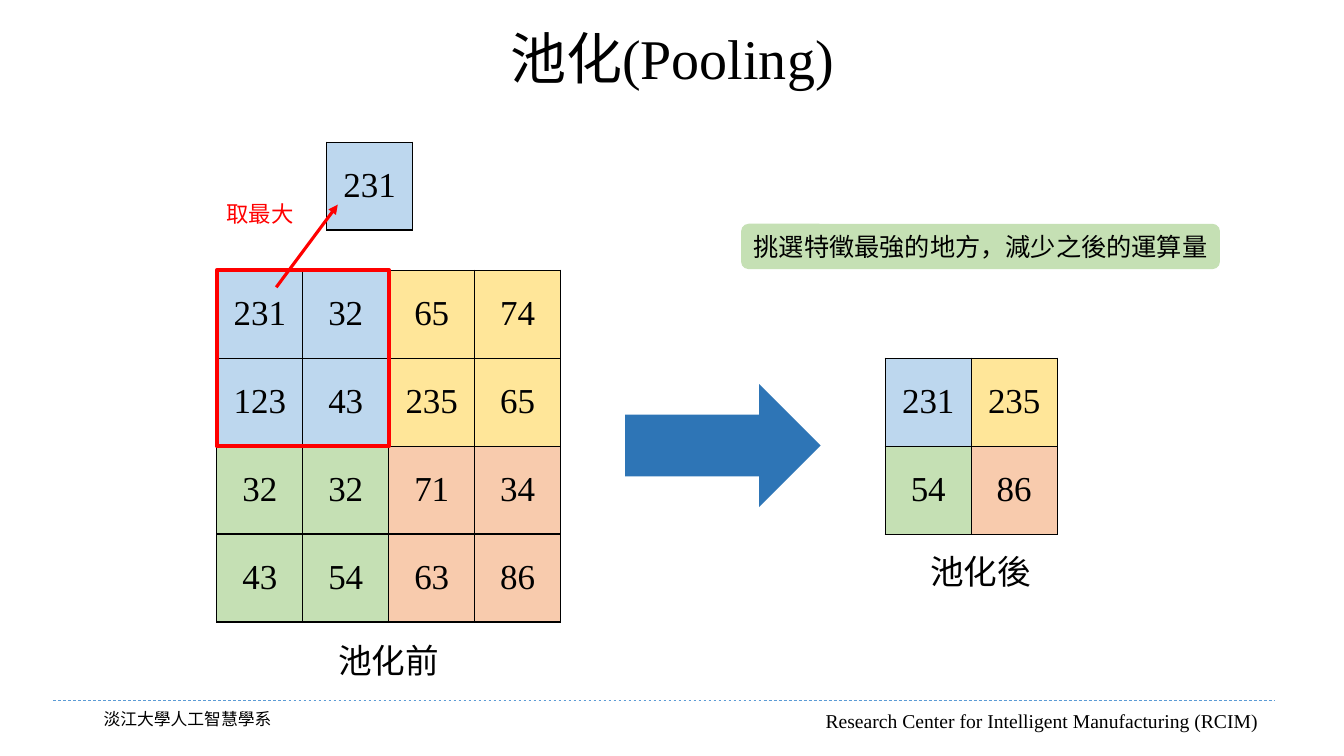
from lxml.etree import SubElement
from pptx import Presentation
from pptx.dml.color import RGBColor
from pptx.enum.dml import MSO_LINE
from pptx.enum.shapes import MSO_CONNECTOR, MSO_SHAPE
from pptx.enum.text import MSO_ANCHOR, PP_ALIGN
from pptx.oxml.ns import qn
from pptx.util import Inches, Pt

BLUE, YELLOW, GREEN, ORANGE = "BDD7EE", "FFE699", "C5E0B4", "F8CBAD"
BLACK, RED = "000000", "FF0000"
CELL_WIDTH, CELL_HEIGHT = 0.853, 0.873
GRID_LEFT, GRID_TOP = 2.15, 2.68


def color(hex_value):
    return RGBColor.from_string(hex_value)


def write(text_frame, text, size, hex_value=BLACK, align=PP_ALIGN.LEFT):
    text_frame.text = text
    paragraph = text_frame.paragraphs[0]
    paragraph.alignment = align
    font = paragraph.runs[0].font
    font.name, font.size = "Times New Roman", Pt(size)
    font.color.rgb = color(hex_value)


presentation = Presentation()
presentation.slide_width, presentation.slide_height = Inches(13.33), Inches(7.5)
slide = presentation.slides.add_slide(presentation.slide_layouts[5])
shapes = slide.shapes

# Title
title = shapes.title
title.left, title.top = 0, Inches(0.18)
title.width, title.height = presentation.slide_width, Inches(0.77)
write(title.text_frame, "池化(Pooling)", 40, align=PP_ALIGN.CENTER)
title.text_frame.vertical_anchor = MSO_ANCHOR.MIDDLE

# Matrices: input, highlighted maximum, and the maximum of every 2 x 2 block
before = [[231, 32, 65, 74], [123, 43, 235, 65], [32, 32, 71, 34], [43, 54, 63, 86]]
after = [[max(before[row + i][column + j] for i in (0, 1) for j in (0, 1))
          for column in (0, 2)] for row in (0, 2)]
block_colors = [[BLUE, YELLOW], [GREEN, ORANGE]]
matrices = [
    (before, 2, GRID_LEFT, GRID_TOP),
    ([[after[0][0]]], 1, 3.24, 1.41),
    (after, 1, 8.78, GRID_TOP + CELL_HEIGHT),
]
for values, block, left, top in matrices:
    count = len(values)
    table = shapes.add_table(
        count, count, Inches(left), Inches(top),
        Inches(count * CELL_WIDTH), Inches(count * CELL_HEIGHT)).table
    table.first_row = table.horz_banding = False
    for row, row_values in enumerate(values):
        for column, value in enumerate(row_values):
            cell = table.cell(row, column)
            write(cell.text_frame, str(value), 25, align=PP_ALIGN.CENTER)
            cell.vertical_anchor = MSO_ANCHOR.MIDDLE
            cell.margin_left = cell.margin_right = Inches(0.16)
            cell.margin_top = cell.margin_bottom = Inches(0.08)
            cell_properties = cell._tc.get_or_add_tcPr()
            for side in ("a:lnL", "a:lnR", "a:lnT", "a:lnB"):
                border = SubElement(cell_properties, qn(side), w=str(Pt(1)))
                SubElement(SubElement(border, qn("a:solidFill")), qn("a:srgbClr"), val=BLACK)
            cell.fill.solid()
            cell.fill.fore_color.rgb = color(block_colors[row // block][column // block])

# Pooling window, arrow to the result, and callout
for kind, left, top, width, height, fill in [
    (MSO_SHAPE.RECTANGLE, GRID_LEFT, GRID_TOP, 2 * CELL_WIDTH, 2 * CELL_HEIGHT, None),
    (MSO_SHAPE.RIGHT_ARROW, 6.2, 3.81, 1.94, 1.22, "2E75B6"),
    (MSO_SHAPE.ROUNDED_RECTANGLE, 7.35, 2.22, 4.75, 0.45, GREEN),
]:
    shape = shapes.add_shape(kind, Inches(left), Inches(top), Inches(width), Inches(height))
    shape.shadow.inherit = False
    if fill:
        shape.fill.solid()
        shape.fill.fore_color.rgb = color(fill)
        shape.line.fill.background()
    else:
        shape.fill.background()
        shape.line.color.rgb = color(RED)
        shape.line.width = Pt(3)
    if kind == MSO_SHAPE.ROUNDED_RECTANGLE:
        write(shape.text_frame, "挑選特徵最強的地方，減少之後的運算量", 18, align=PP_ALIGN.CENTER)
        shape.text_frame.word_wrap = False

# Arrow to the maximum, and footer rule
for start_x, start_y, end_x, end_y, hex_value, width in [
    (2.74, 2.85, 3.35, 2.03, RED, 2.25),
    (0.53, 6.95, 12.65, 6.95, "5B9BD5", 0.5),
]:
    connector = shapes.add_connector(
        MSO_CONNECTOR.STRAIGHT, Inches(start_x), Inches(start_y), Inches(end_x), Inches(end_y))
    connector.line.color.rgb = color(hex_value)
    connector.line.width = Pt(width)
    if hex_value == RED:
        SubElement(connector.line._get_or_add_ln(), qn("a:tailEnd"), type="triangle")
    else:
        connector.line.dash_style = MSO_LINE.DASH
    SubElement(connector._element.spPr, qn("a:effectLst"))

# Labels and footer
for text, left, top, width, height, size, hex_value in [
    ("取最大", 2.08, 1.94, 1, 0.37, 16, RED),
    ("池化前", 3.25, 6.3, 1.21, 0.5, 24, BLACK),
    ("池化後", 9.12, 5.42, 1.21, 0.5, 24, BLACK),
    ("淡江大學人工智慧學系", 0.92, 6.98, 1.88, 0.3, 12, BLACK),
    ("Research Center for Intelligent Manufacturing (RCIM)", 8.07, 6.98, 4.53, 0.34, 14, BLACK),
]:
    label = shapes.add_textbox(Inches(left), Inches(top), Inches(width), Inches(height))
    write(label.text_frame, text, size, hex_value, PP_ALIGN.CENTER)
    label.text_frame.word_wrap = False

presentation.save("out.pptx")
